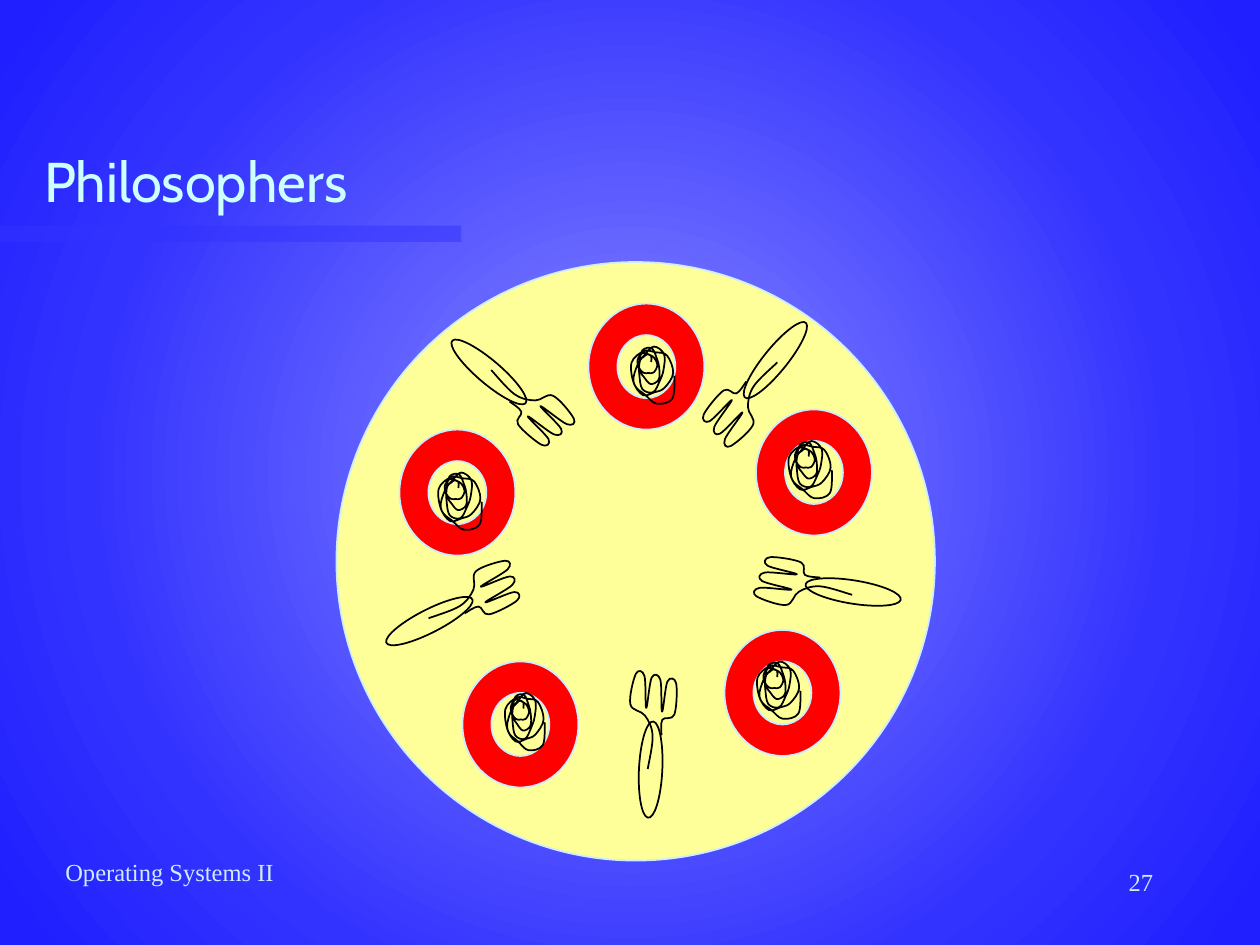
import math

import pptx
import pptx.dml.color
import pptx.enum.shapes
import pptx.enum.text
import pptx.oxml
import pptx.oxml.ns
import pptx.util
from lxml import etree

Inches = pptx.util.Inches
RGB = pptx.dml.color.RGBColor
Shape = pptx.enum.shapes.MSO_SHAPE
Align = pptx.enum.text.PP_ALIGN
Anchor = pptx.enum.text.MSO_ANCHOR
qn = pptx.oxml.ns.qn

BLUE = RGB(0x33, 0x33, 0xFF)
PALE = RGB(0xCC, 0xEC, 0xFF)
CYAN = RGB(0xCC, 0xFF, 0xFF)
CREAM = RGB(0xFF, 0xFF, 0x99)
RED = RGB(0xFF, 0, 0)
BLACK = RGB(0, 0, 0)
GLOW = [(0, RGB(0x6C, 0x6C, 0xFF)), (23, RGB(0x6C, 0x6C, 0xFF)),
        (69, BLUE), (97, RGB(0x1F, 0x1F, 0xFF))]

PLATES = [(.5, 1.33), (2, .33), (3.33, 1.17), (1, 3.17), (3.08, 2.92)]
FORKS = [(.83, .75, 50.8), (.33, 2.5, 343.5), (2.83, .75, 139.5),
         (3.33, 2.42, 199.5), (1.89, 3.61, 283.2)]
MEALS = [(.8, 1.67, .36), (2.33, .67, .36), (3.58, 1.42, .36),
         (3.33, 3.17, .36), (1.33, 3.42, .33)]


def paint(shape, fill, line):
    """Set fill and outline, either of which may be None, and drop the shadow."""
    shape.shadow.inherit = False
    for part, color in ((shape.fill, fill), (shape.line.fill, line)):
        if color is None:
            part.background()
        else:
            part.solid()
            part.fore_color.rgb = color
    if line is not None:
        shape.line.width = pptx.util.Pt(1)


def curve(slide, paths, box, close=False):
    """Draw cubic paths, each a start and triples of points, fitted to the box."""
    paths = [[(Inches(x), Inches(y)) for x, y in path] for path in paths]
    pen = slide.shapes.build_freeform(*paths[0][0])
    for step, path in enumerate(paths):
        if step:
            pen.move_to(*path[0])
        pen.add_line_segments(path[1:], close=close)
    shape = pen.convert_to_shape()
    shape.left, shape.top, shape.width, shape.height = map(Inches, box)
    lines = list(shape.element.iter(qn("a:lnTo")))
    for trio in zip(*[iter(lines)] * 3):
        bend = etree.Element(qn("a:cubicBezTo"))
        trio[0].addprevious(bend)
        for line in trio:
            bend.append(line[0])
            line.getparent().remove(line)
    return shape


def ring(mid, drop, wide, high):
    """Return the cubic path of an ellipse from its centre and radii."""
    k = .55
    unit = [(-1, 0), (-1, -k), (-k, -1), (0, -1), (k, -1), (1, -k), (1, 0),
            (1, k), (k, 1), (0, 1), (-k, 1), (-1, k), (-1, 0)]
    return [(mid + wide * x, drop + high * y) for x, y in unit]


def smooth(dots):
    """Return a cubic path that runs softly through all the dots."""
    ends = [dots[0], *dots, dots[-1]]
    path = [dots[0]]
    for (ax, ay), (bx, by), (cx, cy), (dx, dy) in zip(
            ends, ends[1:], ends[2:], ends[3:]):
        path += [(bx + (cx - ax) / 6, by + (cy - ay) / 6),
                 (cx - (dx - bx) / 6, cy - (dy - by) / 6), (cx, cy)]
    return path


def fork():
    """Return the oval handle and the three-tined head, leaning along a slope."""
    root, tip, gap, half, slope = .86, 1.1, .11, .03, .15
    head = [(.68, .06), (.8, .06), (root, .14)]
    for row in (gap, 0, -gap):
        head += [(tip, row + half), (tip, row - half), (root, row - gap / 2)]
    head += [(.8, -.06), (.66, 0), (.4, -.02)]
    paths = [ring(.4, 0, .37, .08), smooth(head)]
    return [[(x, y - slope * x) for x, y in path] for path in paths]


def pasta():
    """Return one noodle that winds inward from a wide oval to a tight coil."""
    turns, steps = 5, 9
    count = turns * steps
    dots = []
    for step in range(count + 1):
        part = step / count
        angle = math.tau * step / steps
        size = (1 - .75 * part) * (1 + .2 * math.sin(2.3 * angle))
        dots.append((.18 - .06 * part + .16 * size * math.cos(angle),
                     .25 - .09 * part + .2 * size * math.sin(angle)))
    return [smooth(dots)]


def add_table(slide, left, top, size):
    """Lay the round table with its plates, forks and meals."""
    board = slide.shapes.add_shape(Shape.OVAL, *map(Inches, (left, top, size, size)))
    paint(board, CREAM, PALE)
    wide, high = .92, 1
    rims = [ring(wide / 2, high / 2, wide / 2, high / 2),
            ring(wide / 2, high / 2, wide / 4, high / 4)[::-1]]
    for x, y in PLATES:
        plate = curve(slide, rims, (left + x, top + y, wide, high), True)
        paint(plate, RED, PALE)
    for x, y, turn in FORKS:
        tool = curve(slide, fork(), (left + x, top + y, 1.13, .43))
        tool.rotation = turn
        paint(tool, None, BLACK)
    for x, y, span in MEALS:
        meal = curve(slide, pasta(), (left + x, top + y, span, .46))
        paint(meal, None, BLACK)


def write(frame, text, face, size, color, align):
    """Write one styled run into a text frame."""
    frame.word_wrap = True
    para = frame.paragraphs[0]
    para.alignment = align
    run = para.add_run()
    run.text = text
    run.font.name = face
    run.font.size = pptx.util.Pt(size)
    run.font.color.rgb = color


def add_note(slide, box, text, align):
    """Add a line of footer text in the box."""
    note = slide.shapes.add_textbox(*map(Inches, box))
    write(note.text_frame, text, "Times New Roman", 14, PALE, align)


def add_head(slide, left, top, wide, high):
    """Place the title and the clear bar below it."""
    title = slide.shapes.title
    title.left, title.top, title.width, title.height = map(
        Inches, (left, top, wide, high))
    title.text_frame.vertical_anchor = Anchor.BOTTOM
    write(title.text_frame, "Philosophers", "Cabin", 32, CYAN, Align.LEFT)
    bar = slide.shapes.add_shape(
        Shape.RECTANGLE, 0, Inches(top + high + .04), Inches(3.66), Inches(.13))
    paint(bar, BLUE, None)
    tint = bar.element.spPr.find(qn("a:solidFill"))[0]
    etree.SubElement(tint, qn("a:alpha"), val="50000")


def add_glow(slide):
    """Fill the background with a round gradient."""
    slide.background.fill.solid()
    back = slide.element.find(".//" + qn("p:bgPr"))
    grad = etree.Element(qn("a:gradFill"), rotWithShape="1")
    stops = etree.SubElement(grad, qn("a:gsLst"))
    for spot, color in GLOW:
        stop = etree.SubElement(stops, qn("a:gs"), pos=str(spot * 1000))
        etree.SubElement(stop, qn("a:srgbClr"), val=str(color))
    shade = etree.SubElement(grad, qn("a:path"))
    shade.set("path", "circle")
    sides = {side: "50000" for side in "ltrb"}
    etree.SubElement(shade, qn("a:fillToRect"), **sides)
    back.replace(back[0], grad)


def main():
    """Build the slide and save it."""
    deck = pptx.Presentation()
    deck.slide_width, deck.slide_height = Inches(10), Inches(7.5)
    slide = deck.slides.add_slide(deck.slide_layouts[5])
    add_glow(slide)
    add_head(slide, .25, .5, 8.5, 1.25)
    add_note(slide, (.42, 6.75, 3.17, .5), "Operating Systems II", Align.LEFT)
    add_note(slide, (7.17, 6.83, 2.08, .5), "27", Align.RIGHT)
    add_table(slide, 2.67, 2.08, 4.75)
    deck.save("out.pptx")


if __name__ == "__main__":
    main()
